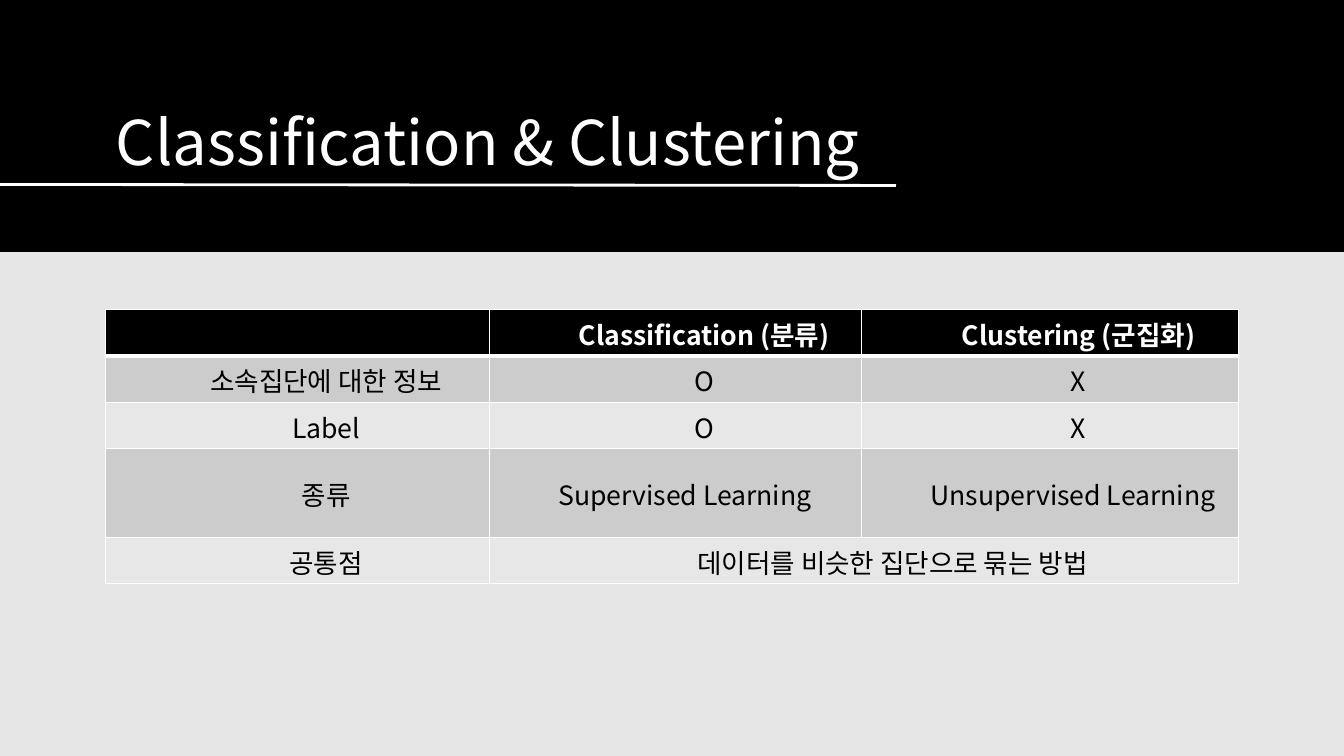
from lxml import etree
from pptx import Presentation
from pptx.dml.color import RGBColor
from pptx.enum.shapes import MSO_CONNECTOR, MSO_SHAPE
from pptx.enum.text import MSO_ANCHOR, MSO_AUTO_SIZE, PP_ALIGN
from pptx.oxml.ns import qn
from pptx.util import Inches, Pt

BLACK = RGBColor(0x00, 0x00, 0x00)
WHITE = RGBColor(0xFF, 0xFF, 0xFF)
PAPER = RGBColor(0xE7, 0xE6, 0xE6)
DARK = RGBColor(0xCC, 0xCC, 0xCC)
LIGHT = RGBColor(0xE7, 0xE7, 0xE7)

RECT = MSO_SHAPE.RECTANGLE
LINE = MSO_CONNECTOR.STRAIGHT
MIDDLE, BOTTOM = MSO_ANCHOR.MIDDLE, MSO_ANCHOR.BOTTOM
CENTER, LEFT = PP_ALIGN.CENTER, PP_ALIGN.LEFT
FIXED = MSO_AUTO_SIZE.NONE

WIDTH, HEIGHT = Inches(13.33), Inches(7.5)
COLS, ROWS = 160, 90  # grid of the slide
FONT = "Noto Sans CJK KR"

HEADS = ["", "Classification (분류)", "Clustering (군집화)"]
BODY = [
    ["소속집단에 대한 정보", "O", "X"],
    ["Label", "O", "X"],
    ["종류", "Supervised Learning", "Unsupervised Learning"],
    ["공통점", "데이터를 비슷한 집단으로 묶는 방법", ""],
]
SPANS = [45.72, 44.28, 44.88]
TALLS = [5.52, 5.52, 5.52, 10.56, 5.52]


def apply(item, values):
    for name, value in values.items():
        setattr(item, name, value)


class Deck:
    def __init__(self):
        self.prs = Presentation()
        apply(self.prs, {"slide_width": WIDTH, "slide_height": HEIGHT})
        self.slide = self.prs.slides.add_slide(self.prs.slide_layouts[5])
        self.shapes = self.slide.shapes
        back = self.slide.background.fill
        back.solid()
        back.fore_color.rgb = PAPER

    def x(self, cols):
        return int(WIDTH * cols / COLS)

    def y(self, rows):
        return int(HEIGHT * rows / ROWS)

    def box(self, left, top, wide, tall):
        return self.x(left), self.y(top), self.x(wide), self.y(tall)

    def words(self, para, text, size, color, bold=False):
        run = para.add_run()
        run.text = text
        apply(run.font, {"size": Pt(size), "bold": bold, "name": FONT})
        run.font.color.rgb = color
        asian = etree.SubElement(run.font._element, qn("a:ea"))
        asian.set("typeface", FONT)

    def band(self, *place):
        band = self.shapes.add_shape(RECT, *self.box(*place))
        band.shadow.inherit = False
        band.fill.solid()
        band.fill.fore_color.rgb = BLACK
        band.line.fill.background()
        self.shapes._spTree.insert(2, band._element)  # behind the title

    def title(self, text, *place):
        head = self.shapes.title
        apply(head, dict(zip(("left", "top", "width", "height"), self.box(*place))))
        apply(head.text_frame, {"auto_size": FIXED, "word_wrap": True,
                                "vertical_anchor": BOTTOM})
        para = head.text_frame.paragraphs[0]
        apply(para, {"alignment": LEFT, "line_spacing": 0.9})
        self.words(para, text, 44, WHITE)

    def rule(self, left, top, right, low):
        ends = self.x(left), self.y(top), self.x(right), self.y(low)
        rule = self.shapes.add_connector(LINE, *ends)
        rule.line.color.rgb = WHITE
        rule.line.width = Pt(2)
        etree.SubElement(rule._element.spPr, qn("a:effectLst"))

    def edge(self, cell, **widths):
        props = cell._tc.get_or_add_tcPr()
        for side in "LRTB":
            line = etree.SubElement(props, qn("a:ln" + side))
            line.set("w", str(Pt(widths.get(side, 1))))
            fill = etree.SubElement(line, qn("a:solidFill"))
            etree.SubElement(fill, qn("a:srgbClr")).set("val", str(WHITE))

    def cell(self, cell, text, row, align):
        # Borders come before the fill; the header's lower edge is thick
        self.edge(cell, **({"B": 3} if row == 0 else {"T": 3} if row == 1 else {}))
        cell.fill.solid()
        cell.fill.fore_color.rgb = (LIGHT, DARK)[row % 2] if row else BLACK
        apply(cell, {"vertical_anchor": MIDDLE,
                     "margin_left": Inches(0.12), "margin_right": Inches(0.12),
                     "margin_top": 0, "margin_bottom": 0})
        para = cell.text_frame.paragraphs[0]
        apply(para, {"alignment": align, "line_spacing": 1.07, "space_after": Pt(8)})
        props = para._p.get_or_add_pPr()
        props.set("marL", str(Inches(0.56)))
        props.set("indent", "0")
        if text:
            self.words(para, text, 19, BLACK if row else WHITE, row == 0)

    def table(self, left, top, spans, talls, data):
        place = self.box(left, top, sum(spans), sum(talls))
        grid = self.shapes.add_table(len(talls), len(spans), *place).table
        for col, span in zip(grid.columns, spans):
            col.width = self.x(span)
        for row, tall in zip(grid.rows, talls):
            row.height = self.y(tall)
        for r, texts in enumerate(data):
            for c, text in enumerate(texts):
                align = LEFT if text.endswith("Learning") else CENTER
                self.cell(grid.cell(r, c), text, r, align)
        last = len(talls) - 1
        grid.cell(last, 1).merge(grid.cell(last, 2))


def main():
    deck = Deck()
    # Header
    deck.band(0, 0, COLS, ROWS / 3)
    deck.title("Classification & Clustering", 12.6, 5.64, 94.1, 16.2)
    deck.rule(0, 21.96, COLS * 2 / 3, 22.08)
    # Comparison table
    deck.table(12.6, 36.84, SPANS, TALLS, [HEADS] + BODY)
    deck.prs.save("out.pptx")


if __name__ == "__main__":
    main()
